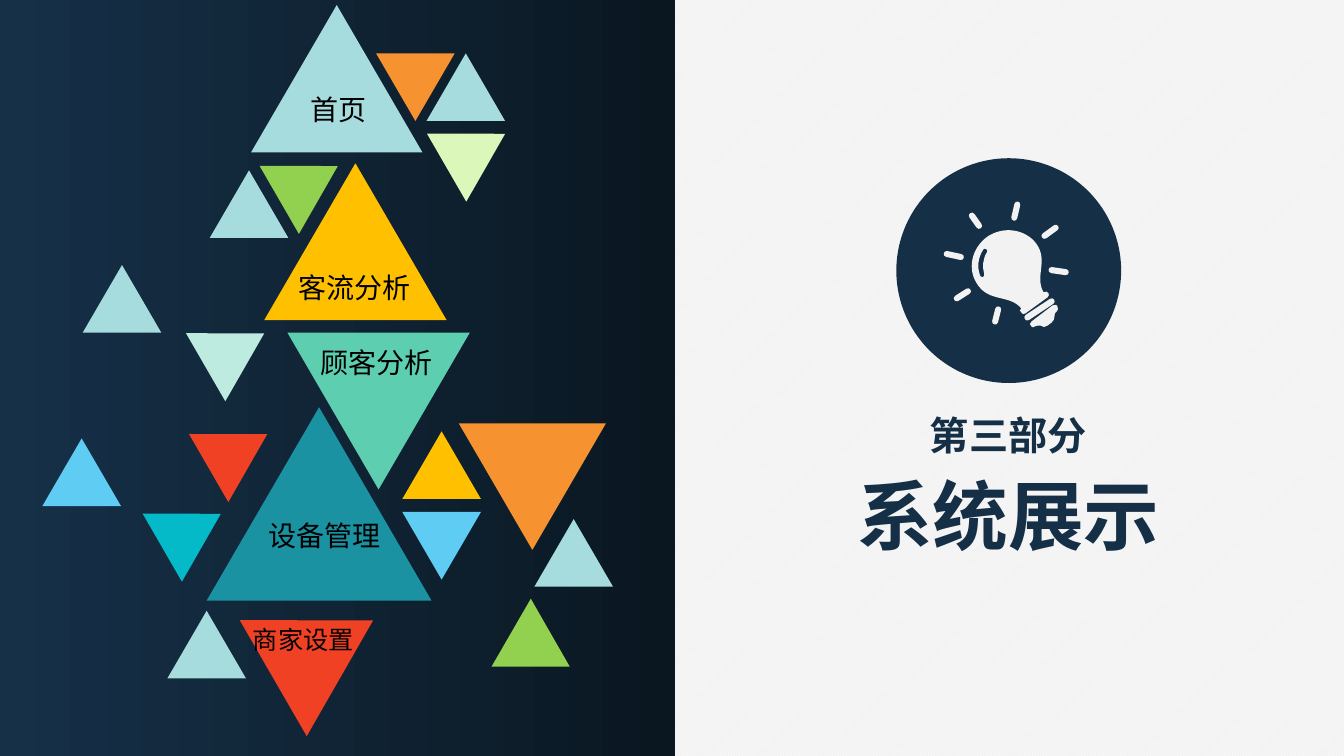
from dataclasses import dataclass
from math import hypot

from lxml.etree import SubElement
from pptx import Presentation
from pptx.dml.color import RGBColor
from pptx.enum.dml import MSO_PATTERN
from pptx.enum.shapes import MSO_SHAPE as Shp
from pptx.enum.text import MSO_ANCHOR as Anchor, MSO_AUTO_SIZE as AutoSize, PP_ALIGN as Align
from pptx.oxml.ns import qn
from pptx.util import Inches, Pt


@dataclass(frozen=True)
class Theme:
    font: str = "Noto Sans CJK SC"
    title: int = 54
    subtitle: int = 28
    label: int = 20
    small: int = 18
    navy: str = "152F47"
    panel_start: str = "163048"
    panel_end: str = "0A1721"
    paper: str = "F2F2F2"
    white: str = "FFFFFF"
    black: str = "000000"
    pale: str = "A7DCDE"
    mint: str = "BEEBDF"
    green: str = "5DCEAF"
    teal: str = "1A92A2"
    cyan: str = "05BAC8"
    sky: str = "5ECCF3"
    lime: str = "92D050"
    cream: str = "DCF7BA"
    orange: str = "F69230"
    amber: str = "FFC000"
    red: str = "F14124"


T = Theme()
TRIANGLE_RATIO = 0.86
SMALL = 0.78
UNITS = 1000

TRIANGLES = [
    (0.82, 2.63, SMALL, T.pale, 0, False),
    (4.23, 0.53, SMALL, T.pale, 0, False),
    (1.94, 3.14, SMALL, T.mint, 60, False),
    (2.85, 3.30, 1.81, T.green, 0, True),
    (2.05, 4.04, 2.23, T.teal, 0, False),
    (1.66, 6.06, SMALL, T.pale, 0, False),
    (0.42, 4.35, SMALL, T.sky, 0, False),
    (2.08, 1.69, SMALL, T.pale, 0, False),
    (2.67, 1.48, SMALL, T.lime, 60, False),
    (4.33, 1.16, SMALL, T.cream, 60, False),
    (1.51, 4.93, SMALL, T.cyan, 60, False),
    (4.55, 4.20, 1.46, T.orange, 180, False),
    (3.99, 4.28, SMALL, T.amber, 0, False),
    (3.99, 5.08, SMALL, T.sky, 0, True),
    (1.97, 4.14, SMALL, T.red, 60, False),
    (2.54, 5.87, 1.33, T.red, 60, False),
    (5.30, 5.15, SMALL, T.pale, 0, False),
    (2.62, 1.62, 1.81, T.amber, 0, False),
    (4.97, 6.11, SMALL, T.lime, 300, True),
    (2.49, 0.05, 1.70, T.pale, 0, False),
    (3.73, 0.53, SMALL, T.orange, 0, True),
]

LABELS = [
    ("首页", 2.98, 0.87, 0.76, 0.44, T.label),
    ("客流分析", 2.86, 2.63, 1.31, 0.44, T.label),
    ("顾客分析", 3.08, 3.38, 1.31, 0.44, T.label),
    ("设备管理", 2.56, 5.09, 1.31, 0.44, T.label),
    ("商家设置", 2.41, 6.14, 1.20, 0.40, T.small),
]

BULB_BARS = [
    (9.64, 2.14, 9.71, 2.24),
    (9.39, 2.52, 9.53, 2.55),
    (9.49, 2.96, 9.60, 2.89),
    (9.87, 3.19, 9.90, 3.07),
    (10.43, 2.68, 10.57, 2.70),
    (10.36, 2.34, 10.47, 2.26),
    (10.06, 2.16, 10.09, 2.03),
    (10.19, 3.15, 10.43, 2.99),
]

BULB_CURVES = [
    [(10.40, 2.91), (10.41, 2.92, 10.40, 2.94, 10.39, 2.95), (10.17, 3.11),
     (10.15, 3.12, 10.14, 3.12, 10.13, 3.10), (10.11, 3.09, 10.11, 3.07, 10.13, 3.06),
     (10.01, 2.92, 9.82, 3.00, 9.70, 2.83), (9.59, 2.68, 9.63, 2.47, 9.79, 2.35),
     (9.95, 2.24, 10.17, 2.27, 10.28, 2.42), (10.40, 2.59, 10.26, 2.74, 10.35, 2.90),
     (10.37, 2.89, 10.39, 2.89, 10.40, 2.91)],
    [(9.78, 2.47), (9.77, 2.46, 9.75, 2.47, 9.75, 2.48), (9.70, 2.56, 9.69, 2.65, 9.72, 2.73),
     (9.72, 2.74, 9.73, 2.75, 9.75, 2.75), (9.76, 2.74, 9.77, 2.72, 9.76, 2.71),
     (9.74, 2.65, 9.75, 2.56, 9.79, 2.50), (9.80, 2.49, 9.79, 2.48, 9.78, 2.47)],
    [(10.44, 3.03), (10.23, 3.19), (10.21, 3.20, 10.21, 3.23, 10.23, 3.24),
     (10.24, 3.25, 10.25, 3.25, 10.26, 3.24), (10.28, 3.23, 10.30, 3.23, 10.32, 3.23),
     (10.34, 3.25, 10.37, 3.25, 10.39, 3.23), (10.43, 3.20),
     (10.45, 3.19, 10.46, 3.16, 10.46, 3.13), (10.46, 3.12, 10.46, 3.10, 10.48, 3.09),
     (10.49, 3.08, 10.50, 3.06, 10.49, 3.05), (10.49, 3.02, 10.46, 3.02, 10.44, 3.03)],
]


def bar_outline(x1, y1, x2, y2, radius=0.03):
    length = hypot(x2 - x1, y2 - y1)
    ux, uy = radius * (x2 - x1) / length, radius * (y2 - y1) / length
    bulge = 4 / 3

    def cap(x, y, sign):
        dx, dy = sign * ux, sign * uy
        left, right = (x + dy, y - dx), (x - dy, y + dx)
        return left, (left[0] + bulge * dx, left[1] + bulge * dy,
                      right[0] + bulge * dx, right[1] + bulge * dy, *right)

    (far, far_cap), (near, near_cap) = cap(x2, y2, 1), cap(x1, y1, -1)
    return [far, far_cap, near, near_cap]


class Deck:
    """Draws styled elements on the current slide."""

    def __init__(self, theme):
        self.theme = theme
        self.prs = Presentation()
        self.prs.slide_width, self.prs.slide_height = Inches(13.33), Inches(7.5)
        self.s = self.prs.slides.add_slide(self.prs.slide_layouts[0])

    def background(self):
        fill = self.s.background.fill
        fill.patterned()
        fill.pattern = MSO_PATTERN.LIGHT_UPWARD_DIAGONAL
        fill.fore_color.rgb = RGBColor.from_string(self.theme.white)
        fill.back_color.rgb = RGBColor.from_string(self.theme.paper)

    def paint(self, sp, color):
        sp.shadow.inherit = False
        sp.line.fill.background()
        sp.fill.solid()
        sp.fill.fore_color.rgb = RGBColor.from_string(color)

    def shape(self, kind, x, y, w, h, color, rotation=0, flip=False):
        sp = self.s.shapes.add_shape(kind, Inches(x), Inches(y), Inches(w), Inches(h))
        self.paint(sp, color)
        sp.rotation = rotation
        if flip:
            sp._element.spPr.find(qn("a:xfrm")).set("flipV", "1")
        return sp

    def gradient_panel(self, x, y, w, h, colors):
        sp = self.shape(Shp.RECTANGLE, x, y, w, h, colors[0])
        sp.fill.gradient()
        sp.fill.gradient_angle = 0
        for stop, color, position in zip(sp.fill.gradient_stops, colors, (0, 1)):
            stop.color.rgb = RGBColor.from_string(color)
            stop.position = position

    def freeform(self, outlines, color):
        scaled = [[tuple(round(v * UNITS) for v in seg) for seg in o] for o in outlines]
        start_x, start_y = scaled[0][0]
        builder = self.s.shapes.build_freeform(start_x, start_y, scale=Inches(1) / UNITS)
        for i, outline in enumerate(scaled):
            if i:
                builder.move_to(*outline[0])
            builder.add_line_segments([seg[-2:] for seg in outline[1:]], close=True)
        sp = builder.convert_to_shape()
        self.paint(sp, color)
        first = next(sp._element.iter(qn("a:moveTo")))[0]
        left, top = start_x - int(first.get("x")), start_y - int(first.get("y"))
        lines = list(sp._element.iter(qn("a:lnTo")))
        for line, seg in zip(lines, (seg for o in scaled for seg in o[1:])):
            if len(seg) == 6:
                curve = line.makeelement(qn("a:cubicBezTo"))
                for x, y in zip(seg[::2], seg[1::2]):
                    SubElement(curve, qn("a:pt"), x=str(x - left), y=str(y - top))
                line.getparent().replace(line, curve)

    def text(self, sp, words, box, size, color, bold=False, align=Align.LEFT):
        sp.left, sp.top, sp.width, sp.height = map(Inches, box)
        tf = sp.text_frame
        tf.word_wrap = False
        tf.auto_size = AutoSize.SHAPE_TO_FIT_TEXT
        tf.vertical_anchor = Anchor.TOP
        if sp.is_placeholder:
            tf.margin_left = tf.margin_right = 0
        p = tf.paragraphs[0]
        p.alignment = align
        p.space_before = Pt(0)
        r = p.add_run()
        r.text = words
        r.font.size, r.font.bold = Pt(size), bold
        r.font.color.rgb = RGBColor.from_string(color)
        r.font.name = self.theme.font
        SubElement(r.font._element, qn("a:ea")).set("typeface", self.theme.font)

    def label(self, words, x, y, w, h, size):
        sp = self.s.shapes.add_textbox(0, 0, 0, 0)
        self.text(sp, words, (x, y, w, h), size, self.theme.black)


def main():
    deck = Deck(T)
    deck.background()
    deck.gradient_panel(0, 0, 6.69, 7.5, (T.panel_start, T.panel_end))
    title, subtitle = deck.s.placeholders
    deck.text(title, "系统展示", (8.4, 4.6, 3.2, 1.06), T.title, T.navy, True, Align.CENTER)
    deck.text(subtitle, "第三部分", (9.12, 4.03, 1.76, 0.57), T.subtitle, T.navy, True, Align.CENTER)
    deck.shape(Shp.OVAL, 8.89, 1.57, 2.23, 2.23, T.navy)
    bulb = BULB_CURVES + [bar_outline(*bar) for bar in BULB_BARS]
    deck.freeform(bulb, T.paper)
    for x, y, w, color, rotation, flip in TRIANGLES:
        deck.shape(Shp.ISOSCELES_TRIANGLE, x, y, w, w * TRIANGLE_RATIO, color, rotation, flip)
    for label in LABELS:
        deck.label(*label)
    deck.prs.save("out.pptx")


if __name__ == "__main__":
    main()
